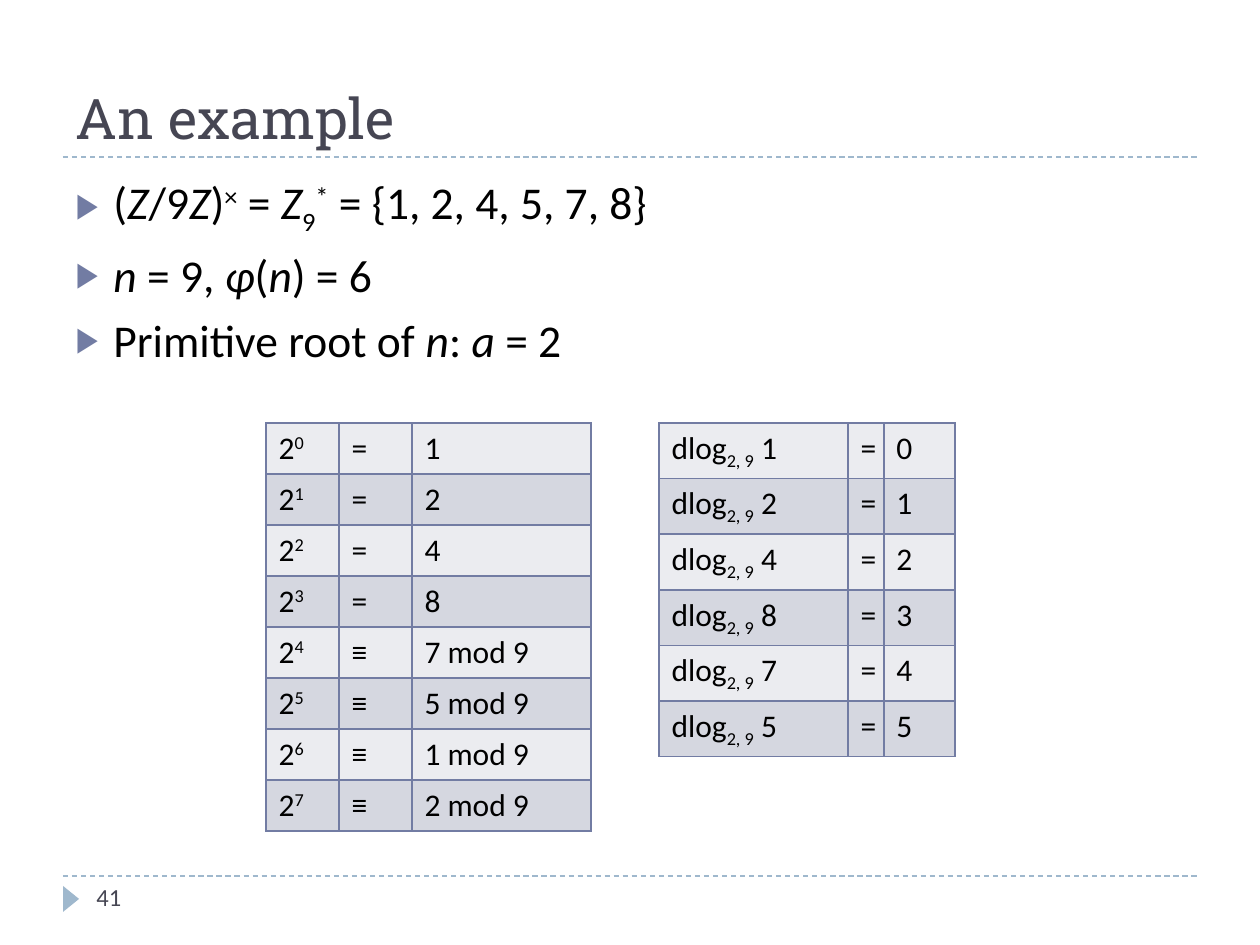
"""Build a slide with a worked example of discrete logarithms modulo 9."""
from lxml import etree
from pptx import Presentation
from pptx import util as u
from pptx.dml.color import RGBColor
from pptx.enum import dml, shapes, text
from pptx.oxml.ns import qn

PX = 7257
SLATE = RGBColor(0x46, 0x46, 0x53)
BLACK = RGBColor(0, 0, 0)
INDIGO = RGBColor(0x72, 0x7C, 0xA3)
SKY = RGBColor(0x9F, 0xB8, 0xCD)
BANDS = RGBColor(0xEB, 0xEC, 0xF0), RGBColor(0xD5, 0xD7, 0xE0)
BASELINES = {"sup": "30000", "sub": "-25000"}
MODULUS, BASE = 9, 2
FACTS = [
    [("(", ""), ("Z", "i"), ("/9", ""), ("Z", "i"), (")", ""), ("×", "sup"), (" = ", ""),
     ("Z", "i"), ("9", "sub"), ("*", "sup"), (" = {1, 2, 4, 5, 7, 8}", "")],
    [("n", "i"), (" = 9, ", ""), ("φ", "i"), ("(", ""), ("n", "i"), (") = 6", "")],
    [("Primitive root of ", ""), ("n", "i"), (": ", ""), ("a", "i"), (" = 2", "")],
]


def px(*lengths):
    return [u.Emu(length * PX) for length in lengths]


def place(box, *bounds):
    box.left, box.top, box.width, box.height = px(*bounds)


def write(para, spans, size, color=BLACK, font="Calibri"):
    for words, style in spans:
        span = para.add_run()
        span.text = words
        span.font.size = u.Pt(size)
        span.font.name = font
        span.font.color.rgb = color
        if style == "i":
            span.font.italic = True
        elif style:
            span._r.get_or_add_rPr().set("baseline", BASELINES[style])


def add_bullet(para):
    props = para._p.get_or_add_pPr()
    indent = u.Inches(0.3)
    props.set("marL", str(indent))
    props.set("indent", str(-indent))
    color = etree.SubElement(props, qn("a:buClr"))
    etree.SubElement(color, qn("a:srgbClr"), val=str(INDIGO))
    etree.SubElement(props, qn("a:buSzPct"), val="76000")
    etree.SubElement(props, qn("a:buFont"), typeface="Arial")
    etree.SubElement(props, qn("a:buChar"), char="▶")


def fill_title(box):
    place(box, 63, 21, 1134, 136)
    frame = box.text_frame
    frame.auto_size = text.MSO_AUTO_SIZE.NONE
    frame.vertical_anchor = text.MSO_ANCHOR.BOTTOM
    frame.paragraphs[0].alignment = text.PP_ALIGN.LEFT
    write(frame.paragraphs[0], [("An example", "")], 32, SLATE, "Roboto Slab")


def fill_body(box):
    place(box, 63, 168, 1134, 680)
    frame = box.text_frame
    frame.auto_size = text.MSO_AUTO_SIZE.NONE
    for index, spans in enumerate(FACTS):
        para = frame.add_paragraph() if index else frame.paragraphs[0]
        para.space_before = u.Pt(6 if index else 0)
        add_bullet(para)
        write(para, spans, 26)


def add_rule(page, y):
    rule = page.shapes.add_connector(shapes.MSO_CONNECTOR.STRAIGHT, *px(63, y, 1197, y))
    rule.line.color.rgb = SKY
    rule.line.width = u.Pt(0.75)
    rule.line.dash_style = dml.MSO_LINE.DASH
    etree.SubElement(rule._element.spPr, qn("a:effectLst"))


def add_page_number(page):
    marker = page.shapes.add_shape(shapes.MSO_SHAPE.ISOSCELES_TRIANGLE, *px(58, 891, 26, 16))
    marker.rotation = 90
    marker.shadow.inherit = False
    marker.fill.solid()
    marker.fill.fore_color.rgb = SKY
    marker.line.fill.background()
    box = page.shapes.add_textbox(*px(84, 876, 273, 50))
    box.text_frame.word_wrap = True
    write(box.text_frame.paragraphs[0], [("41", "")], 14, SLATE)


def style_cell(cell, color):
    props = cell._tc.get_or_add_tcPr()
    for side in ("lnL", "lnR", "lnT", "lnB"):
        edge = etree.SubElement(props, qn("a:" + side), w=str(u.Pt(1)))
        paint = etree.SubElement(edge, qn("a:solidFill"))
        etree.SubElement(paint, qn("a:srgbClr"), val=str(INDIGO))
    cell.fill.solid()
    cell.fill.fore_color.rgb = color


def add_grid(page, left, widths, rows):
    bounds = px(left, 423, sum(widths), 51 * len(rows))
    table = page.shapes.add_table(len(rows), len(widths), *bounds).table
    table.first_row = False
    for column, width in zip(table.columns, px(*widths)):
        column.width = width
    for index, row in enumerate(rows):
        for cell, spans in zip(table.rows[index].cells, row):
            style_cell(cell, BANDS[index % 2])
            write(cell.text_frame.paragraphs[0], spans, 18)


def power_row(exponent):
    value = BASE ** exponent
    wraps = value >= MODULUS
    result = f"{value % MODULUS} mod {MODULUS}" if wraps else str(value)
    return [[(str(BASE), ""), (str(exponent), "sup")], [("≡" if wraps else "=", "")], [(result, "")]]


def log_row(exponent):
    value = pow(BASE, exponent, MODULUS)
    logarithm = [("dlog", ""), (f"{BASE}, {MODULUS}", "sub"), (f" {value}", "")]
    return [logarithm, [("=", "")], [(str(exponent), "")]]


def main():
    deck = Presentation()
    deck.slide_width, deck.slide_height = u.Inches(10), u.Inches(7.5)
    page = deck.slides.add_slide(deck.slide_layouts[1])
    for y in (876, 157):
        add_rule(page, y)
    fill_title(page.shapes.title)
    fill_body(page.placeholders[1])
    add_page_number(page)
    add_grid(page, 659, (189, 36, 71), [log_row(k) for k in range(6)])
    add_grid(page, 266, (73, 73, 179), [power_row(k) for k in range(8)])
    deck.save("out.pptx")


if __name__ == "__main__":
    main()
